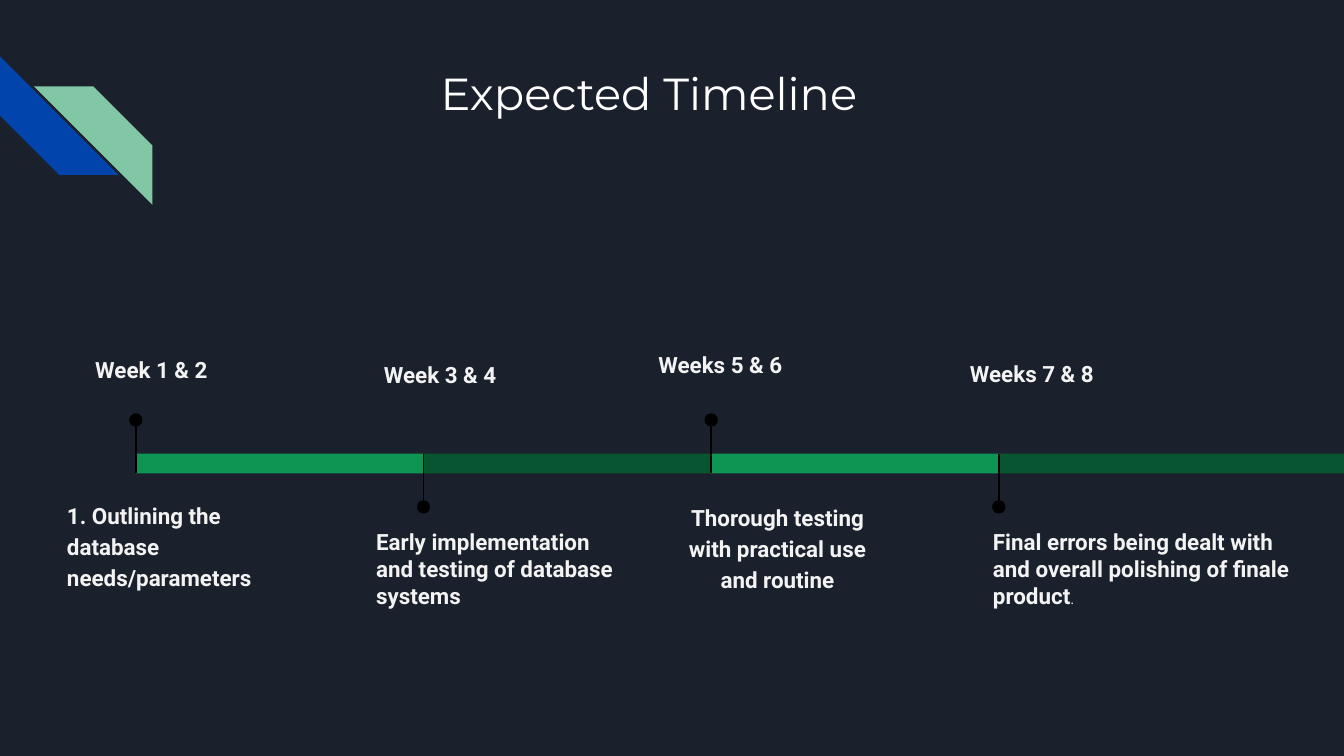
from lxml import etree
from pptx import Presentation
from pptx.dml.color import RGBColor
from pptx.enum.shapes import MSO_CONNECTOR, MSO_SHAPE
from pptx.enum.text import MSO_ANCHOR, PP_ALIGN
from pptx.oxml.ns import qn
from pptx.util import Pt

NAVY = RGBColor(0x1B, 0x21, 0x2C)
BLUE = RGBColor(0x01, 0x45, 0xAC)
MINT = RGBColor(0x82, 0xC7, 0xA5)
GREEN = RGBColor(0x0E, 0x94, 0x53)
FOREST = RGBColor(0x08, 0x56, 0x31)
BLACK = RGBColor(0, 0, 0)
WHITE = RGBColor(0xFF, 0xFF, 0xFF)
PALE = RGBColor(0xF3, 0xF3, 0xF3)

LEFT, CENTER = PP_ALIGN.LEFT, PP_ALIGN.CENTER
BODY = dict(name="Roboto", size=Pt(12), bold=True)
TITLE_FONT = dict(name="Montserrat", size=Pt(24), bold=False)
FINE = dict(name="Roboto", size=Pt(8), bold=False)
PLAIN = dict(alignment=LEFT, space_after=Pt(16))
LOOSE = dict(PLAIN, line_spacing=1.15)
CENTERED = dict(LOOSE, alignment=CENTER)

# Content: runs, box (left, top, width, height) and paragraph format
TITLE = ([("Expected Timeline", TITLE_FONT)], (229, 28.1, 262.8, 45.4), {})
PHASES = [
    [([("Week 1 & 2 ", BODY)], (43.9, 183.6, 101.5, 31), {}),
     ([("1. Outlining the database needs/parameters", BODY)],
      (28.8, 259.9, 114.5, 72), LOOSE)],
    [([("Week 3 & 4 ", BODY)], (189.4, 184.3, 95.8, 38.2), CENTERED),
     ([("Early implementation and testing of database systems", BODY)],
      (194.4, 275.8, 146.2, 74.2), PLAIN)],
    [([("Weeks 5 & 6 ", BODY)], (345.6, 180.7, 101.5, 37.4), PLAIN),
     ([("Thorough testing with practical use and routine", BODY)],
      (355.7, 260.6, 121.7, 64.8), CENTERED)],
    [([("Weeks 7 & 8 ", BODY)], (505.4, 183.6, 97.9, 54.7), CENTERED),
     ([("Final errors being dealt with and overall polishing of finale product", BODY),
       (".", FINE)],
      (524.9, 275.8, 177.1, 74.2), PLAIN)],
]

SLIDE_W, SLIDE_H = 720, 405
BAR_X, BAR_Y, BAR_H, PITCH = 72.8, 243, 10.6, 154.1
PIN_REACH, DOT = 18, 7.2

prs = Presentation()
prs.slide_width, prs.slide_height = Pt(SLIDE_W), Pt(SLIDE_H)
slide = prs.slides.add_slide(prs.slide_layouts[6])
slide.background.fill.solid()
slide.background.fill.fore_color.rgb = NAVY


def add_solid(kind, box, color):
    solid = slide.shapes.add_shape(kind, *map(Pt, box))
    solid.shadow.inherit = False
    solid.fill.solid()
    solid.fill.fore_color.rgb = color
    solid.line.fill.background()
    return solid


def add_pin(x, y1, y2):
    stem = slide.shapes.add_connector(
        MSO_CONNECTOR.STRAIGHT, *map(Pt, (x, y1, x, y2)))
    stem.line.color.rgb = BLACK
    stem.line.width = Pt(0.75)
    etree.SubElement(stem._element.spPr, qn("a:effectLst"))
    add_solid(MSO_SHAPE.OVAL, (x - DOT / 2, y1 - DOT / 2, DOT, DOT), BLACK)


def add_text(runs, box, layout, color=PALE):
    frame = slide.shapes.add_textbox(*map(Pt, box)).text_frame
    frame.word_wrap = True
    frame.vertical_anchor = MSO_ANCHOR.TOP
    for side in ("left", "top", "right", "bottom"):
        setattr(frame, f"margin_{side}", Pt(7.2))
    para = frame.paragraphs[0]
    for key, value in layout.items():
        setattr(para, key, value)
    for words, font in runs:
        run = para.add_run()
        run.text = words
        run.font.color.rgb = color
        for key, value in font.items():
            setattr(run.font, key, value)


# Corner stripes
blue_stripe = add_solid(MSO_SHAPE.DIAGONAL_STRIPE, (0, 30.2, 63.5, 63.5), BLUE)
blue_stripe.rotation = 270
mint_stripe = add_solid(MSO_SHAPE.DIAGONAL_STRIPE, (18.2, 46.3, 63.5, 63.5), MINT)
mint_stripe._element.spPr.find(qn("a:xfrm")).set("flipH", "1")

# Timeline: pins alternate above and below the bar
for i, texts in enumerate(PHASES):
    x = BAR_X + i * PITCH
    width = PITCH if i < len(PHASES) - 1 else SLIDE_W - x
    below = i % 2
    add_solid(MSO_SHAPE.RECTANGLE, (x, BAR_Y, width, BAR_H),
              FOREST if below else GREEN)
    if below:
        add_pin(x, BAR_Y + BAR_H + PIN_REACH, BAR_Y)
    else:
        add_pin(x, BAR_Y - PIN_REACH, BAR_Y + BAR_H)
    for text in texts:
        add_text(*text)

# Title
add_text(*TITLE, color=WHITE)

prs.save("out.pptx")
